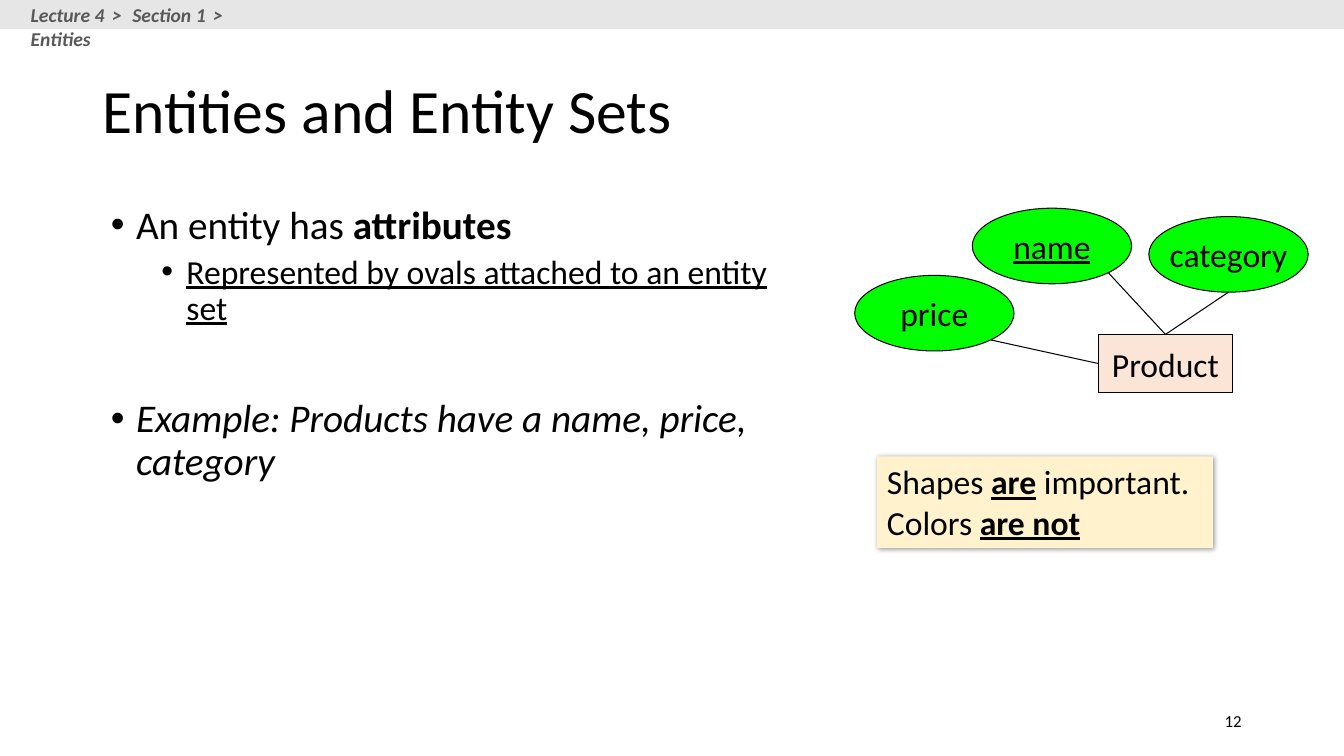
"""Build the lecture slide on entities, entity sets and their attributes."""
from math import cos, radians, sin

from lxml import etree
from pptx import Presentation
from pptx.dml.color import RGBColor
from pptx.enum.shapes import MSO_CONNECTOR as CONN, MSO_SHAPE as SHAPE
from pptx.enum.text import MSO_ANCHOR as ANCHOR, MSO_AUTO_SIZE as AUTO, PP_ALIGN as ALIGN
from pptx.oxml.ns import qn
from pptx.util import Pt

BLACK = RGBColor(0x00, 0x00, 0x00)
GRAY = RGBColor(0x59, 0x59, 0x59)
BAND = RGBColor(0xE7, 0xE6, 0xE6)
GREEN = RGBColor(0x00, 0xFF, 0x00)
PEACH = RGBColor(0xFB, 0xE5, 0xD6)
CREAM = RGBColor(0xFF, 0xF2, 0xCC)

OVAL_SIZE = (113.8, 54)


def add_run(p, text, size=24, color=BLACK, bold=False, italic=False,
            underline=False, tracking=None):
    r = p.add_run()
    r.text = text
    f = r.font
    f.name, f.size, f.color.rgb = "Calibri", Pt(size), color
    f.bold, f.italic, f.underline = bold, italic, underline
    if tracking:
        r._r.get_or_add_rPr().set("spc", str(tracking))


def place(sp, left, top, width, height):
    sp.left, sp.top, sp.width, sp.height = Pt(left), Pt(top), Pt(width), Pt(height)


def add_box(s, kind, fill, box, outlined=True):
    sp = s.shapes.add_shape(kind, *map(Pt, box))
    sp.shadow.inherit = False
    sp.fill.solid()
    sp.fill.fore_color.rgb = fill
    if outlined:
        sp.line.color.rgb = BLACK
        sp.line.width = Pt(0.75)
    else:
        sp.line.fill.background()
    return sp


def add_node(s, kind, fill, box, label, underline=False):
    sp = add_box(s, kind, fill, box)
    tf = sp.text_frame
    tf.word_wrap = False
    tf.vertical_anchor = ANCHOR.MIDDLE
    p = tf.paragraphs[0]
    p.alignment = ALIGN.CENTER
    add_run(p, label, underline=underline)
    return sp


def add_link(s, oval, angle, entity, site):
    rx, ry = oval.width / 2, oval.height / 2
    x = int(oval.left + rx + rx * cos(radians(angle)))
    y = int(oval.top + ry + ry * sin(radians(angle)))
    c = s.shapes.add_connector(CONN.STRAIGHT, x, y, x, y)
    c.end_connect(entity, site)
    c.line.color.rgb = BLACK
    c.line.width = Pt(0.75)
    etree.SubElement(c._element.spPr, qn("a:effectLst"))


def add_shadow(sp):
    effects = sp._element.spPr.find(qn("a:effectLst"))
    shadow = etree.SubElement(effects, qn("a:outerShdw"), blurRad=str(Pt(4)),
                              dist=str(Pt(1)), dir="2700000", algn="tl", rotWithShape="0")
    color = etree.SubElement(shadow, qn("a:srgbClr"), val=str(BLACK))
    etree.SubElement(color, qn("a:alpha"), val="40000")


def add_textbox(s, box):
    tf = s.shapes.add_textbox(*map(Pt, box)).text_frame
    tf.word_wrap = True
    return tf


def format_bullet(p, level, indent, before):
    p.level = level
    pPr = p._p.get_or_add_pPr()
    pPr.set("marL", str(Pt(indent)))
    pPr.set("indent", str(Pt(-18)))
    etree.SubElement(pPr, qn("a:buFont"), typeface="Arial")
    etree.SubElement(pPr, qn("a:buChar"), char="•")
    p.line_spacing = 0.9
    p.space_before = Pt(before)


def add_title(s):
    sp = s.shapes.title
    place(sp, 66, 29, 828, 104.4)
    tf = sp.text_frame
    tf.auto_size = AUTO.NONE
    tf.vertical_anchor = ANCHOR.MIDDLE
    p = tf.paragraphs[0]
    p.alignment = ALIGN.LEFT
    p.line_spacing = 0.9
    add_run(p, "Entities and Entity Sets", size=44)


def add_body(s):
    sp = s.placeholders[1]
    place(sp, 72, 143.3, 516, 337)
    tf = sp.text_frame
    tf.auto_size = AUTO.NONE
    p = tf.paragraphs[0]
    format_bullet(p, 0, 18, 0)
    add_run(p, "An entity has ", size=28)
    add_run(p, "attributes", size=28, bold=True)
    p = tf.add_paragraph()
    format_bullet(p, 1, 54, 5)
    add_run(p, "Represented by ovals attached to an entity set", underline=True)
    p = tf.add_paragraph()
    format_bullet(p, 0, 18, 51)
    add_run(p, "Example: Products have a name, price, category", size=28, italic=True)


def add_diagram(s):
    product = add_node(s, SHAPE.RECTANGLE, PEACH, (784.6, 238.9, 95.8, 41.6), "Product")
    attributes = [
        ("name", 694.5, 148.7, True, 45, 0),
        ("category", 820.6, 154.7, False, 90, 0),
        ("price", 610.5, 196.7, False, 45, 1),
    ]
    for label, left, top, key, angle, site in attributes:
        oval = add_node(s, SHAPE.OVAL, GREEN, (left, top, *OVAL_SIZE), label, key)
        add_link(s, oval, angle, product, site)


def add_note(s):
    sp = add_box(s, SHAPE.RECTANGLE, CREAM, (626.4, 326, 240, 65.4), outlined=False)
    add_shadow(sp)
    tf = sp.text_frame
    tf.word_wrap = True
    tf.vertical_anchor = ANCHOR.TOP
    p = tf.paragraphs[0]
    p.alignment = ALIGN.LEFT
    for text, strong in (("Shapes ", False), ("are", True),
                         (" important. Colors ", False), ("are not", True)):
        add_run(p, text, bold=strong, underline=strong)


def add_header(s):
    add_box(s, SHAPE.RECTANGLE, BAND, (0, 0, 960, 20.7), outlined=False)
    p = add_textbox(s, (14.8, -1.4, 190, 24.2)).paragraphs[0]
    for text, tracking in (("Lecture 4", None), (" > ", 210), ("Section 1", None),
                           (" > ", 210), ("Entities", None)):
        add_run(p, text, size=14, color=GRAY, bold=True, italic=True, tracking=tracking)


def add_page_number(s):
    tf = add_textbox(s, (678, 500.5, 216, 28.8))
    tf.vertical_anchor = ANCHOR.MIDDLE
    p = tf.paragraphs[0]
    p.alignment = ALIGN.RIGHT
    add_run(p, "12", size=12)


def main():
    prs = Presentation()
    prs.slide_width, prs.slide_height = Pt(960), Pt(540)
    s = prs.slides.add_slide(prs.slide_layouts[1])
    add_title(s)
    add_body(s)
    add_page_number(s)
    add_diagram(s)
    add_note(s)
    add_header(s)
    prs.save("out.pptx")


if __name__ == "__main__":
    main()
